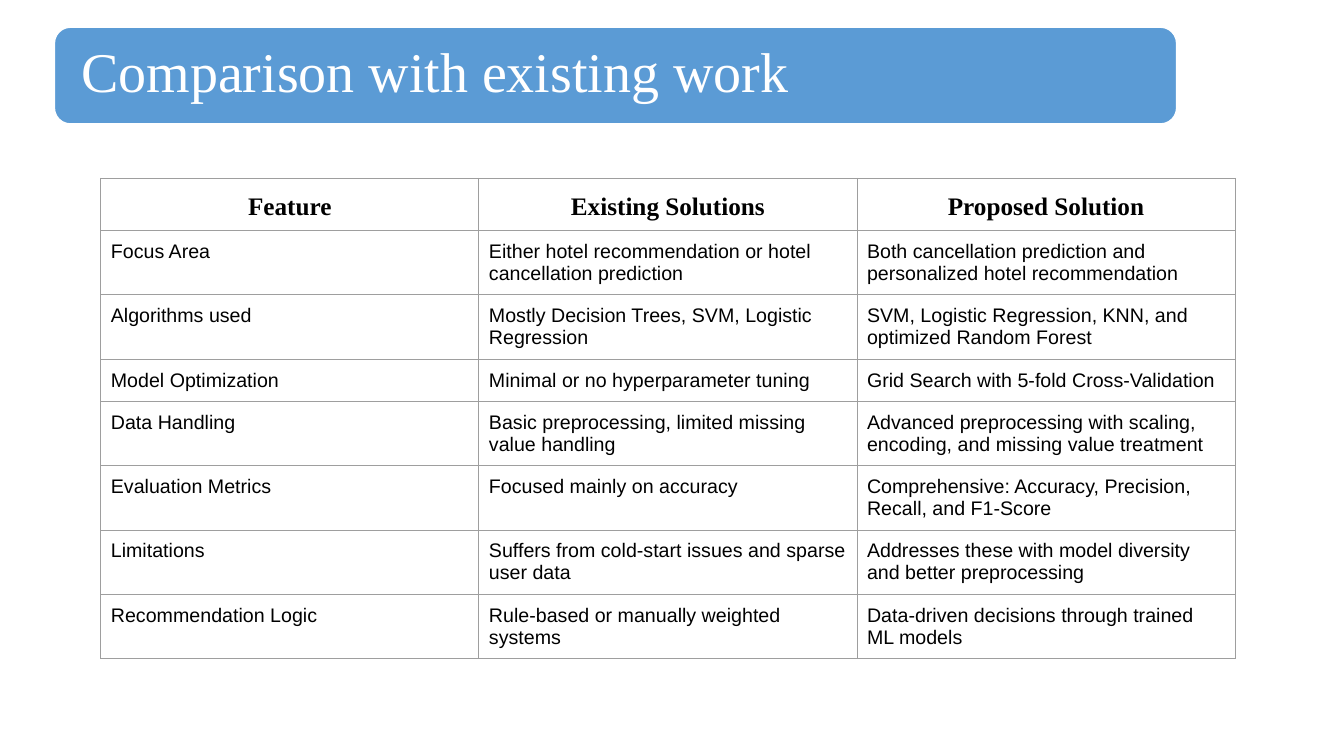
import dataclasses

import pptx
import pptx.dml.color
import pptx.enum.shapes
import pptx.enum.text
import pptx.oxml
import pptx.oxml.ns
import pptx.util

ALIGN = pptx.enum.text.PP_ALIGN
MIDDLE = pptx.enum.text.MSO_ANCHOR.MIDDLE
WIDE, HIGH = pptx.util.Inches(13.33), pptx.util.Inches(7.5)


@dataclasses.dataclass(frozen=True)
class Theme:
    blue: str = "5B9BD5"
    white: str = "FFFFFF"
    black: str = "000000"
    grey: str = "9E9E9E"
    serif: str = "Times New Roman"
    sans: str = "Arial"
    title: int = 40
    head: int = 18
    body: int = 14


THEME = Theme()
TITLE = "Comparison with existing work"
ROWS = [
    ("Feature", "Existing Solutions", "Proposed Solution"),
    ("Focus Area",
     "Either hotel recommendation or hotel cancellation prediction",
     "Both cancellation prediction and personalized hotel recommendation"),
    ("Algorithms used",
     "Mostly Decision Trees, SVM, Logistic Regression",
     "SVM, Logistic Regression, KNN, and optimized Random Forest"),
    ("Model Optimization",
     "Minimal or no hyperparameter tuning",
     "Grid Search with 5-fold Cross-Validation"),
    ("Data Handling",
     "Basic preprocessing, limited missing value handling",
     "Advanced preprocessing with scaling, encoding, and missing value treatment"),
    ("Evaluation Metrics",
     "Focused mainly on accuracy",
     "Comprehensive: Accuracy, Precision, Recall, and F1-Score"),
    ("Limitations",
     "Suffers from cold-start issues and sparse user data",
     "Addresses these with model diversity and better preprocessing"),
    ("Recommendation Logic",
     "Rule-based or manually weighted systems",
     "Data-driven decisions through trained ML models"),
]


def color(code):
    return pptx.dml.color.RGBColor.from_string(code)


def place(left, top, width, height):
    """Turn percentages of the slide's size into lengths."""
    return [int(share * side / 100) for share, side in
            zip((left, top, width, height), (WIDE, HIGH, WIDE, HIGH))]


def apply(target, values):
    for name, value in values.items():
        setattr(target, name, value)


def write(frame, text, font, size, ink, bold=False, **layout):
    """Fill a text frame; layout holds paragraph attributes."""
    para = frame.paragraphs[0]
    apply(para, layout)
    run = para.add_run()
    run.text = text
    apply(run.font, {"name": font, "size": pptx.util.Pt(size), "bold": bold})
    run.font.color.rgb = color(ink)


def add_title(slide, text, box):
    kind = pptx.enum.shapes.MSO_SHAPE.ROUNDED_RECTANGLE
    banner = slide.shapes.add_shape(kind, *place(*box))
    banner.shadow.inherit = False
    banner.fill.solid()
    banner.fill.fore_color.rgb = color(THEME.blue)
    banner.line.color.rgb = color(THEME.white)
    banner.line.width = pptx.util.Pt(1)
    apply(banner.text_frame, {"word_wrap": True, "vertical_anchor": MIDDLE,
                              "margin_left": pptx.util.Inches(0.22)})
    write(banner.text_frame, text, THEME.serif, THEME.title, THEME.white,
          alignment=ALIGN.LEFT, line_spacing=0.85)


def add_edges(cell):
    props = cell._tc.get_or_add_tcPr()
    for side in "LRTB":
        props.append(pptx.oxml.parse_xml(
            f'<a:ln{side} {pptx.oxml.ns.nsdecls("a")} w="{pptx.util.Pt(0.75)}">'
            f'<a:solidFill><a:srgbClr val="{THEME.grey}"/></a:solidFill>'
            f'</a:ln{side}>'))


def add_grid(slide, rows, box):
    """Add the table; rows grow to fit their text."""
    head = {"font": THEME.serif, "size": THEME.head, "bold": True,
            "alignment": ALIGN.CENTER, "line_spacing": 1.15}
    body = {"font": THEME.sans, "size": THEME.body, "alignment": ALIGN.LEFT}
    inset = dict.fromkeys(("margin_left", "margin_top", "margin_right",
                           "margin_bottom"), pptx.util.Inches(0.1))
    table = slide.shapes.add_table(len(rows), len(rows[0]), *place(*box)).table
    apply(table, {"first_row": False, "horz_banding": False})
    for r, row in enumerate(rows):
        for c, text in enumerate(row):
            cell = table.cell(r, c)
            apply(cell, inset)
            add_edges(cell)
            cell.fill.background()
            write(cell.text_frame, text, ink=THEME.black,
                  **(body if r else head))


def main():
    deck = pptx.Presentation()
    apply(deck, {"slide_width": WIDE, "slide_height": HIGH})
    slide = deck.slides.add_slide(deck.slide_layouts[6])
    add_title(slide, TITLE, (4.05, 3.6, 83.5, 12.8))
    add_grid(slide, ROWS, (7.5, 23.6, 84.4, 5.6 * len(ROWS)))
    deck.save("out.pptx")


if __name__ == "__main__":
    main()
